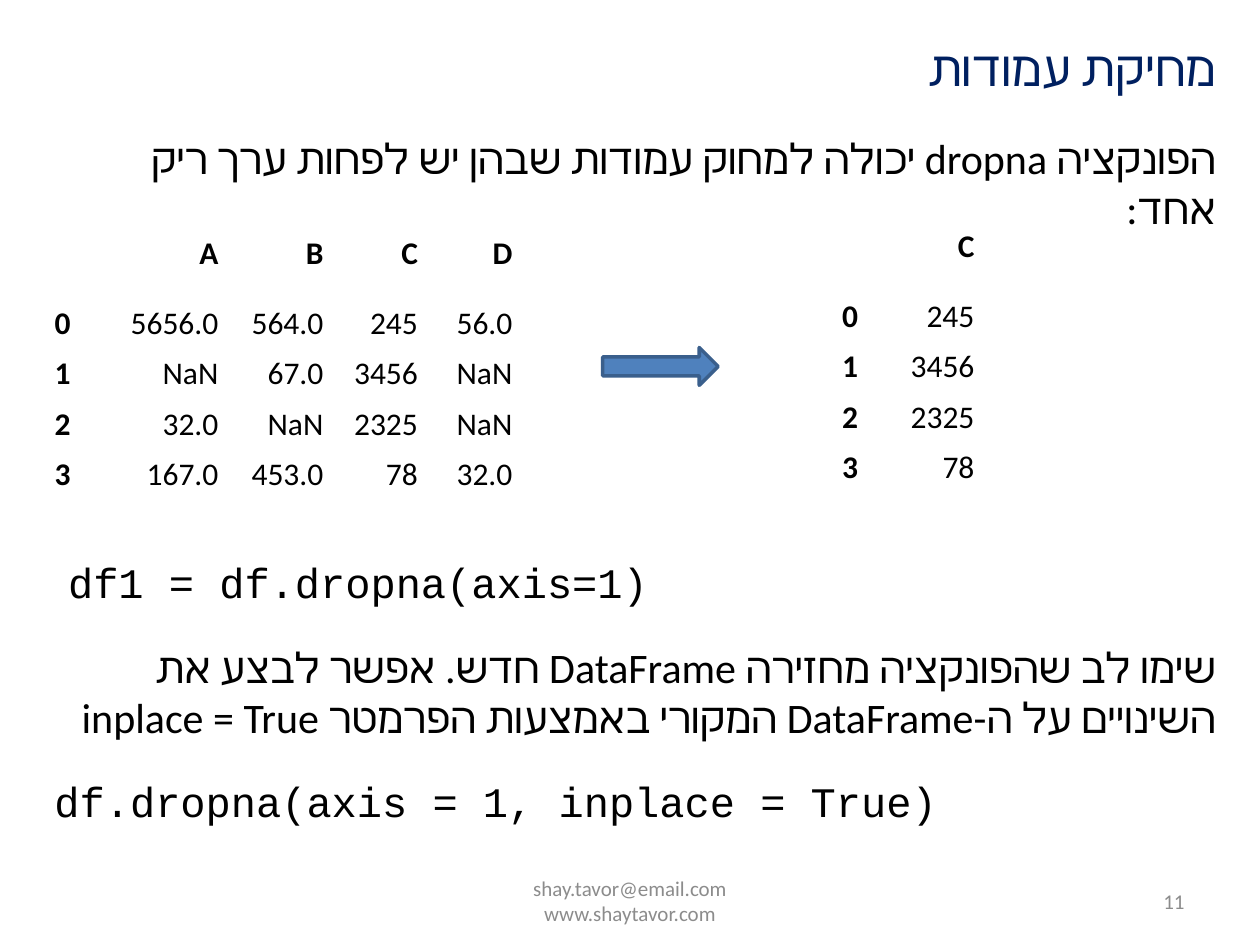
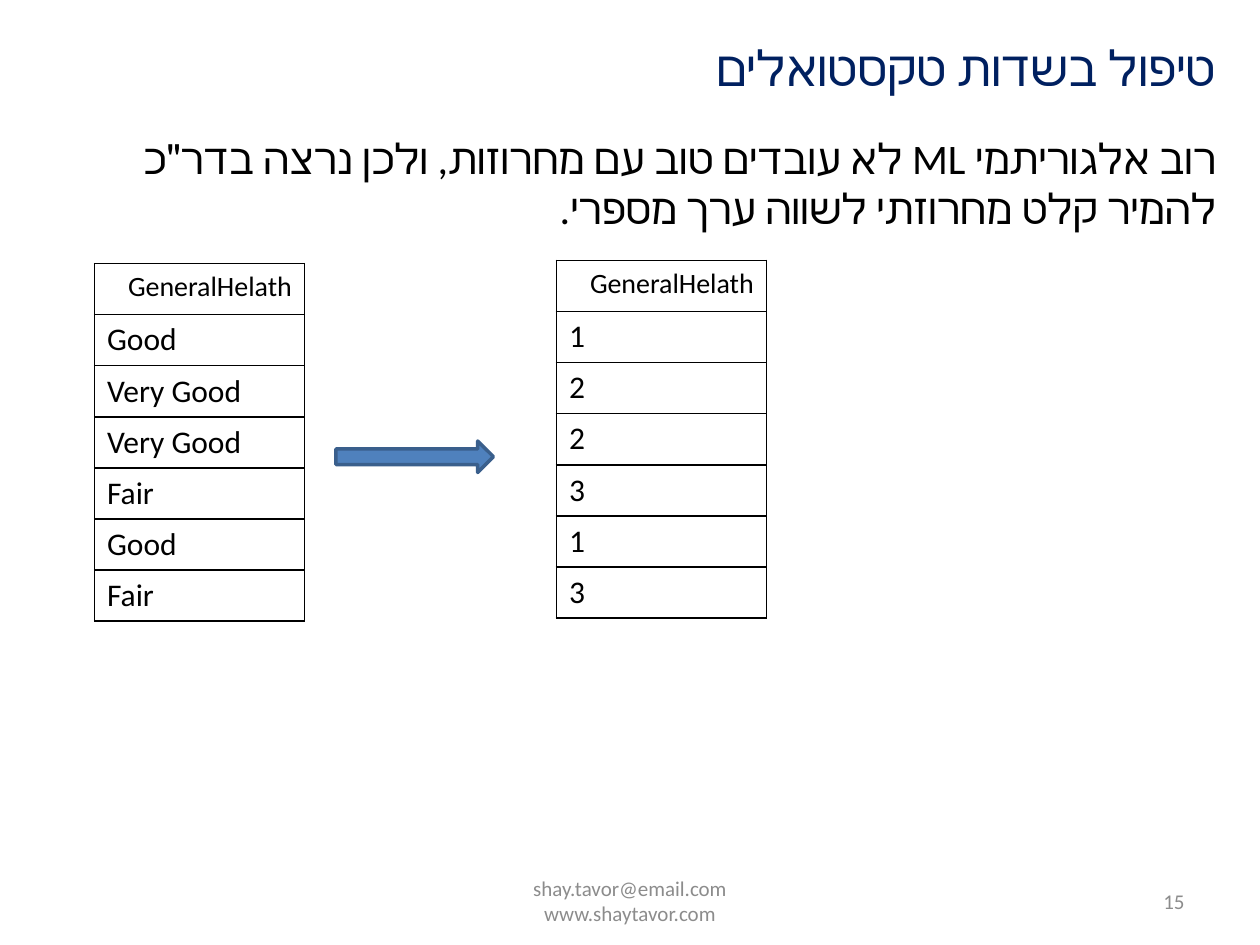
"""Build two Hebrew lesson slides on dropping columns and converting text fields."""
import pptx
import pptx.dml.color
import pptx.enum.shapes
import pptx.enum.text
import pptx.oxml
import pptx.oxml.ns
import pptx.util

NAVY = pptx.dml.color.RGBColor(0x00, 0x20, 0x60)
BLACK = pptx.dml.color.RGBColor(0x00, 0x00, 0x00)
WHITE = pptx.dml.color.RGBColor(0xFF, 0xFF, 0xFF)
GREY = pptx.dml.color.RGBColor(0x8C, 0x8C, 0x8C)
BLUE = pptx.dml.color.RGBColor(0x4F, 0x81, 0xBD)
STEEL = pptx.dml.color.RGBColor(0x3A, 0x5F, 0x8C)

COLUMNS, ROWS = 120, 90
ALIGN = pptx.enum.text.PP_ALIGN
ANCHOR = pptx.enum.text.MSO_ANCHOR
GROW = pptx.enum.text.MSO_AUTO_SIZE.SHAPE_TO_FIT_TEXT
BODY, CODE = "Calibri", "Courier New"
FOOTER = "shay.tavor@email.com\nwww.shaytavor.com"


class Lesson:
    """Holds the shared style and the slide being filled."""

    def __init__(self):
        self.deck = pptx.Presentation()
        self.deck.slide_width = pptx.util.Inches(10)
        self.deck.slide_height = pptx.util.Inches(7.5)
        self.page = None

    def across(self, columns):
        return round(self.deck.slide_width * columns / COLUMNS)

    def down(self, rows):
        return round(self.deck.slide_height * rows / ROWS)

    def area(self, left, top, width, height):
        return self.across(left), self.down(top), self.across(width), self.down(height)

    def set_text(self, frame, text, size, color=BLACK, name=BODY, bold=False,
                 align=ALIGN.LEFT, rtl=False):
        frame.text = text
        values = {"size": pptx.util.Pt(size), "name": name, "bold": bold}
        for para in frame.paragraphs:
            para.alignment = align
            if rtl:
                para._p.get_or_add_pPr().set("rtl", "1")
            for span in para.runs:
                for key, value in values.items():
                    setattr(span.font, key, value)
                span.font.color.rgb = color
                script = pptx.oxml.parse_xml(
                    f'<a:cs {pptx.oxml.ns.nsdecls("a")} typeface="{name}"/>')
                span.font._element.append(script)

    def add_page(self, title, number, rtl=False):
        self.page = self.deck.slides.add_slide(self.deck.slide_layouts[5])
        heading = self.page.shapes.title
        heading.left, heading.top, heading.width, heading.height = self.area(50, 3, 67, 6.9)
        self.set_frame(heading.text_frame)
        self.set_text(heading.text_frame, title, 28, NAVY, align=ALIGN.RIGHT, rtl=rtl)
        small = {"size": 12, "color": GREY, "anchor": ANCHOR.MIDDLE, "fit": None}
        self.add_text(FOOTER, 41, 83.4, 38, 4.8, align=ALIGN.CENTER, **small)
        self.add_text(str(number), 86, 83.4, 28, 4.8, align=ALIGN.RIGHT, **small)

    def set_frame(self, frame, wrap=True, anchor=ANCHOR.TOP, fit=GROW):
        values = {"word_wrap": wrap, "vertical_anchor": anchor, "auto_size": fit}
        for key, value in values.items():
            setattr(frame, key, value)

    def add_text(self, text, left, top, width, height, size=24, wrap=True,
                 anchor=ANCHOR.TOP, fit=GROW, **style):
        box = self.page.shapes.add_textbox(*self.area(left, top, width, height))
        self.set_frame(box.text_frame, wrap, anchor, fit)
        self.set_text(box.text_frame, text, size, **style)

    def add_hebrew(self, text, left, top, width, height):
        self.add_text(text, left, top, width, height, align=ALIGN.RIGHT, rtl=True)

    def add_code(self, text, left, top, width):
        self.add_text(text, left, top, width, 6, name=CODE, wrap=False)

    def add_arrow(self, left, top, width, height):
        arrow = self.page.shapes.add_shape(
            pptx.enum.shapes.MSO_SHAPE.RIGHT_ARROW, *self.area(left, top, width, height))
        arrow.shadow.inherit = False
        arrow.fill.solid()
        arrow.fill.fore_color.rgb = BLUE
        arrow.line.color.rgb = STEEL
        arrow.line.width = pptx.util.Pt(2)

    def add_table(self, left, top, widths, heights):
        frame = self.page.shapes.add_table(
            len(heights), len(widths), *self.area(left, top, sum(widths), sum(heights)))
        table = frame.table
        for flag in ("first_row", "horz_banding"):
            setattr(table, flag, False)
        for column, width in zip(table.columns, widths):
            column.width = self.across(width)
        for row, height in zip(table.rows, heights):
            row.height = self.down(height)
        return table

    def fill_cell(self, cell):
        cell.fill.solid()
        cell.fill.fore_color.rgb = WHITE

    def border_cell(self, cell):
        properties = cell._tc.get_or_add_tcPr()
        for side in ("lnL", "lnR", "lnT", "lnB"):
            properties.append(pptx.oxml.parse_xml(
                f'<a:{side} {pptx.oxml.ns.nsdecls("a")} w="{pptx.util.Pt(1)}">'
                f'<a:solidFill><a:srgbClr val="{BLACK}"/></a:solidFill></a:{side}>'))

    def add_data_frame(self, left, top, widths, data):
        table = self.add_table(left, top, widths, [8.4] + [4.8] * (len(data) - 1))
        for row, values in enumerate(data):
            for column, value in enumerate(values):
                cell = table.cell(row, column)
                cell.vertical_anchor = ANCHOR.MIDDLE
                self.fill_cell(cell)
                self.set_text(cell.text_frame, value, 18, bold=row == 0 or column == 0,
                              align=ALIGN.RIGHT if column else ALIGN.LEFT)

    def add_field(self, left, top, header, values):
        table = self.add_table(left, top, [20], [4.87] * (len(values) + 1))
        for cell in table.iter_cells():
            self.border_cell(cell)
            self.fill_cell(cell)
        self.set_text(table.cell(0, 0).text_frame, header, 16, align=ALIGN.RIGHT, rtl=True)
        for row, value in enumerate(values, 1):
            self.set_text(table.cell(row, 0).text_frame, value, 18)


def build_drop_columns(lesson):
    lesson.add_page("מחיקת עמודות", 11)
    lesson.add_hebrew("הפונקציה dropna יכולה למחוק עמודות שבהן יש לפחות ערך ריק אחד:",
                      4, 12, 113, 6)
    before = [
        ["", "A", "B", "C", "D"],
        ["0", "5656.0", "564.0", "245", "56.0"],
        ["1", "NaN", "67.0", "3456", "NaN"],
        ["2", "32.0", "NaN", "2325", "NaN"],
        ["3", "167.0", "453.0", "78", "32.0"],
    ]
    after = [[row[0], row[3]] for row in before]
    lesson.add_data_frame(4, 20, [6, 12, 10, 9, 9], before)
    lesson.add_arrow(57.4, 33.1, 11, 3.6)
    lesson.add_data_frame(79, 19.3, [6, 9], after)
    lesson.add_code("df1 = df.dropna(axis=1)", 5.3, 52.4, 58)
    lesson.add_hebrew("שימו לב שהפונקציה מחזירה DataFrame חדש. אפשר לבצע את השינויים "
                      "על ה-DataFrame המקורי באמצעות הפרמטר inplace = True",
                      0, 60.5, 117, 10.9)
    lesson.add_code("df.dropna(axis = 1, inplace = True)", 4, 73.3, 87)


def build_text_fields(lesson):
    lesson.add_page("טיפול בשדות טקסטואלים", 15, rtl=True)
    lesson.add_hebrew("רוב אלגוריתמי ML לא עובדים טוב עם מחרוזות, ולכן נרצה בדר״כ "
                      "להמיר קלט מחרוזתי לשווה ערך מספרי.", 4, 12, 113, 10.9)
    codes = {"Good": "1", "Very Good": "2", "Fair": "3"}
    answers = ["Good", "Very Good", "Very Good", "Fair", "Good", "Fair"]
    lesson.add_field(9, 25.1, "GeneralHelath", answers)
    lesson.add_arrow(32, 42, 15, 3)
    lesson.add_field(53, 24.8, "GeneralHelath", [codes[answer] for answer in answers])


def main():
    lesson = Lesson()
    build_drop_columns(lesson)
    build_text_fields(lesson)
    lesson.deck.save("out.pptx")


if __name__ == "__main__":
    main()
